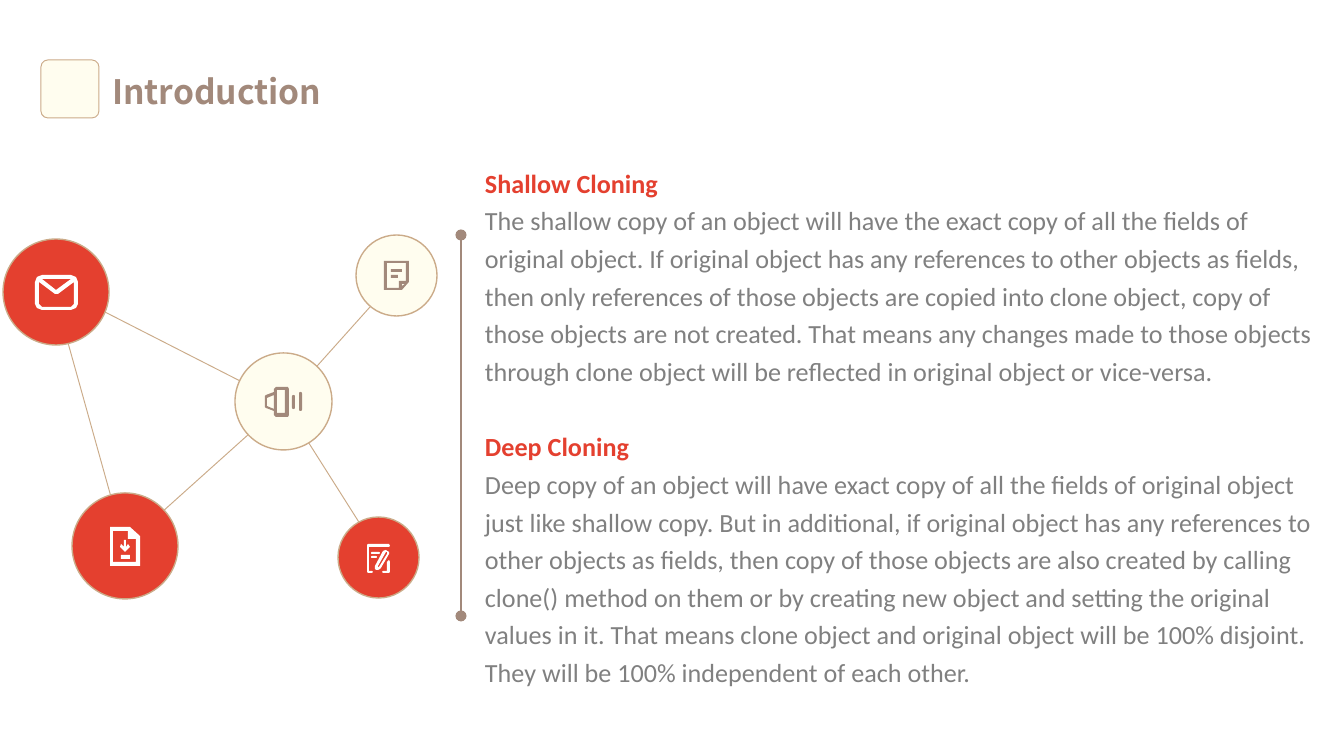
from lxml import etree
from pptx import Presentation
from pptx.dml.color import RGBColor
from pptx.enum.shapes import MSO_CONNECTOR, MSO_SHAPE
from pptx.enum.text import MSO_ANCHOR
from pptx.oxml.ns import qn
from pptx.util import Pt

PX = 914400 / 134.4
STRAIGHT = MSO_CONNECTOR.STRAIGHT
OVAL, RECT, ROUNDED = MSO_SHAPE.OVAL, MSO_SHAPE.RECTANGLE, MSO_SHAPE.ROUNDED_RECTANGLE
COLORS = {
    name: RGBColor.from_string(code)
    for name, code in {
        "red": "E4402F", "cream": "FFFDEF", "tan": "CBAB89",
        "brown": "A2897B", "gray": "808080", "white": "FFFFFF",
    }.items()
}


def px(*lengths):
    return [round(length * PX) for length in lengths]


def paint(shape, fill, outline_width=None):
    """Fill a shape, with a tan outline if a width in points is given."""
    shape.shadow.inherit = False
    shape.fill.solid()
    shape.fill.fore_color.rgb = COLORS[fill]
    if outline_width is None:
        shape.line.fill.background()
    else:
        shape.line.color.rgb = COLORS["tan"]
        shape.line.width = Pt(outline_width)


prs = Presentation()
prs.slide_width, prs.slide_height = px(1344, 756)
slide = prs.slides.add_slide(prs.slide_layouts[6])
shapes = slide.shapes

# Title with its square marker
marker = shapes.add_shape(ROUNDED, *px(41, 60, 58, 58))
marker.adjustments[0] = 0.12
paint(marker, "cream", 0.5)

title = shapes.add_textbox(*px(99, 60, 1159, 63)).text_frame
title.word_wrap = True
title.vertical_anchor = MSO_ANCHOR.MIDDLE
heading = title.paragraphs[0]
heading.text = "Introduction"
heading.font.name = "Noto Sans CJK SC"
heading.font.size = Pt(18)
heading.font.bold = True
heading.font.color.rgb = COLORS["brown"]

# Definitions
DEFINITIONS = [
    ("Shallow Cloning",
     "The shallow copy of an object will have the exact copy of all the fields of original "
     "object. If original object has any references to other objects as fields, then only "
     "references of those objects are copied into clone object, copy of those objects are not "
     "created. That means any changes made to those objects through clone object will be "
     "reflected in original object or vice-versa."),
    ("Deep Cloning",
     "Deep copy of an object will have exact copy of all the fields of original object just "
     "like shallow copy. But in additional, if original object has any references to other "
     "objects as fields, then copy of those objects are also created by calling clone() method "
     "on them or by creating new object and setting the original values in it. That means clone "
     "object and original object will be 100% disjoint. They will be 100% independent of each "
     "other."),
]
body = shapes.add_textbox(*px(485, 161, 832, 530)).text_frame
body.word_wrap = True
body.margin_left = body.margin_right = body.margin_top = body.margin_bottom = 0
for index, (term, meaning) in enumerate(DEFINITIONS):
    for text, color, is_term in ((term, "red", True), (meaning, "gray", False)):
        is_first = index == 0 and is_term
        paragraph = body.paragraphs[0] if is_first else body.add_paragraph()
        paragraph.text = text
        paragraph.line_spacing = 1.2
        if is_term and index > 0:
            paragraph.space_before = Pt(20.2)
        paragraph.font.name = "Calibri"
        paragraph.font.size = Pt(14)
        paragraph.font.bold = is_term
        paragraph.font.color.rgb = COLORS[color]

# Links of the network, then the divider with round ends
LINKS = [
    (113, 504, 65, 332), (97, 308, 246, 384), (310, 374, 379, 297),
    (249, 434, 161, 513), (305, 437, 362, 527),
]
DIVIDER = (461, 235, 461, 616)
for ends in LINKS + [DIVIDER]:
    link = shapes.add_connector(STRAIGHT, *px(*ends))
    is_divider = ends == DIVIDER
    link.line.color.rgb = COLORS["brown" if is_divider else "tan"]
    link.line.width = Pt(0.75 if is_divider else 0.5)
    if is_divider:
        outline = link.line._get_or_add_ln()
        for end in ("a:headEnd", "a:tailEnd"):
            etree.SubElement(outline, qn(end), type="oval")
    etree.SubElement(link._element.spPr, qn("a:effectLst"))

# Nodes: left, top, diameter, fill
NODES = [
    (3, 239, 106, "red"), (72, 493, 106, "red"), (338, 517, 81, "red"),
    (235, 353, 97, "cream"), (356, 235, 81, "cream"),
]
for left, top, diameter, fill in NODES:
    paint(shapes.add_shape(OVAL, *px(left, top, diameter, diameter)), fill, 0.75)

# Icon outlines: the first contour of each is its edge, later ones are cut-outs or corners
NOTE = [
    [(384, 261), (384, 290), (402, 290), (409, 282), (409, 261)],
    [(387, 263), (406, 263), (406, 281), (399, 281), (399, 288), (387, 288)],
    [(405, 284), (402, 286), (402, 284)],
]
SPEAKER = [
    [(288, 387), (276, 387), (274, 389), (274, 392), (266, 395), (265, 396), (265, 407),
     (266, 408), (274, 411), (274, 415), (276, 417), (288, 417), (289, 415), (289, 389)],
    [(267, 406), (267, 398), (274, 395), (274, 409)],
    [(277, 390), (285, 390), (285, 413), (277, 413)],
]
EDIT_FRAME = [
    [(372, 571), (369, 571), (369, 547), (389, 547), (390, 546), (389, 544), (368, 544),
     (367, 545), (367, 572), (368, 573), (372, 573), (373, 572)],
]
EDIT_CORNER = [
    [(389, 560), (387, 562), (387, 571), (383, 571), (382, 572), (383, 573), (389, 573),
     (390, 572), (390, 562)],
]
PEN = [
    [(387, 551), (386, 550), (383, 551), (375, 566), (375, 569), (376, 570), (378, 570),
     (380, 569), (381, 568), (389, 554), (389, 552)],
    [(387, 554), (379, 567), (378, 567), (378, 566), (386, 552), (387, 552)],
]
FILE = [
    [(130, 527), (110, 527), (110, 566), (140, 566), (140, 536)],
    [(113, 562), (113, 531), (128, 531), (128, 539), (136, 539), (136, 562)],
]
DOWN_ARROW = [
    [(126, 547), (126, 540), (124, 540), (124, 547), (121, 544), (120, 547), (125, 552),
     (130, 547), (128, 544)],
]
ENVELOPE = [
    [(71, 275), (42, 275), (37, 277), (35, 282), (35, 304), (37, 308), (42, 310), (71, 310),
     (76, 308), (78, 304), (78, 282), (76, 277)],
    [(71, 279), (56, 290), (42, 279)],
    [(74, 304), (71, 307), (42, 307), (39, 304), (39, 282), (55, 294), (58, 294), (74, 282)],
]
ICON_PARTS = [
    (NOTE, "brown"), (SPEAKER, "brown"), (EDIT_FRAME, "white"), (EDIT_CORNER, "white"),
    (PEN, "white"), (FILE, "white"), (DOWN_ARROW, "white"), (ENVELOPE, "white"),
]
for contours, fill in ICON_PARTS:
    builder = shapes.build_freeform(*contours[0][0], scale=PX)
    builder.add_line_segments(contours[0][1:], close=True)
    for contour in contours[1:]:
        builder.move_to(*contour[0])
        builder.add_line_segments(contour[1:], close=True)
    paint(builder.convert_to_shape(), fill)

# Straight strokes inside the icons
STROKES = [
    (RECT, (391, 269, 11, 3), "brown"), (RECT, (391, 275, 7, 3), "brown"),
    (ROUNDED, (292, 395, 3, 14), "brown"), (ROUNDED, (299, 392, 3, 19), "brown"),
    (ROUNDED, (371, 552, 9, 2), "white"), (ROUNDED, (371, 556, 6, 2), "white"),
    (RECT, (121, 555, 9, 4), "white"),
]
for kind, frame, fill in STROKES:
    stroke = shapes.add_shape(kind, *px(*frame))
    if kind == ROUNDED:
        stroke.adjustments[0] = 0.5
    paint(stroke, fill)

prs.save("out.pptx")
